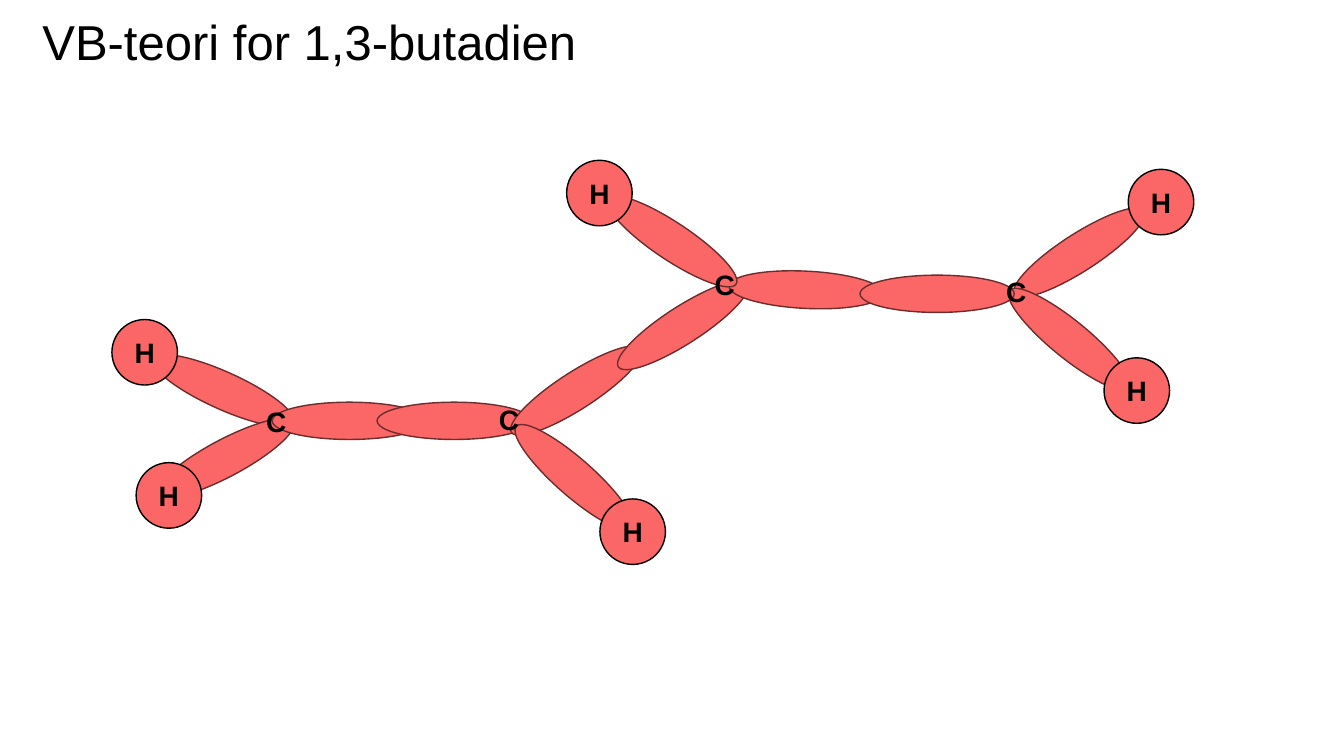
from pptx import Presentation
from pptx.dml.color import RGBColor
from pptx.enum.shapes import MSO_SHAPE as Shape
from pptx.enum.text import MSO_ANCHOR as Anchor, PP_ALIGN as Align
from pptx.util import Pt

# Content: lengths in px, 100 px to the inch
TITLE = "VB-teori for 1,3-butadien"
LOBES = [  # left, top, turn in degrees, from back to front
    (145, 369, 24.3), (147, 436, 332), (270, 399, 0), (374, 399, 0),
    (495, 369, 327.2), (493, 455, 41.3), (601, 304, 327.2), (723, 269, 2.8),
    (590, 221, 33.7), (994, 232, 327.2), (984, 318, 39.2), (853, 273, 0),
]
CARBONS = [(254, 396), (485, 394), (699, 260), (988, 267)]
HYDROGENS = [(135, 459), (111, 317), (595, 495),
             (562, 159), (1095, 355), (1119, 168)]

PX = 9144
LOBE, LABEL, ATOM = (153, 37), (58, 44), (65, 65)
RED = RGBColor(0xFB, 0x66, 0x66)
BROWN = RGBColor(0x6E, 0x2D, 0x2D)
BLACK = RGBColor(0, 0, 0)
HEAD = {"name": "Arial", "size": Pt(35), "bold": False}
BOLD = {"name": "Arial", "size": Pt(20), "bold": True}


def scale(*nums):
    return [n * PX for n in nums]


def write(frame, text, look, align, anchor):
    frame.vertical_anchor = anchor
    para = frame.paragraphs[0]
    para.alignment = align
    run = para.add_run()
    run.text = text
    for key, val in look.items():
        setattr(run.font, key, val)
    run.font.color.rgb = BLACK
    return para


def oval(left, top, size, edge):
    shape = slide.shapes.add_shape(Shape.OVAL, *scale(left, top, *size))
    shape.shadow.inherit = False
    shape.fill.solid()
    shape.fill.fore_color.rgb = RED
    shape.line.color.rgb = edge
    shape.line.width = Pt(1)
    return shape


deck = Presentation()
deck.slide_width, deck.slide_height = scale(1333, 750)
slide = deck.slides.add_slide(deck.slide_layouts[5])

# Title
title = slide.shapes.title
title.left, title.top, title.width, title.height = scale(42, 18, 1250, 82)
frame = title.text_frame
for side in ("left", "top", "right", "bottom"):
    setattr(frame, "margin_" + side, 0)
write(frame, TITLE, HEAD, Align.LEFT, Anchor.TOP).line_spacing = 0.9

# Orbital lobes
for left, top, turn in LOBES:
    oval(left, top, LOBE, BROWN).rotation = turn

# Carbon labels
for left, top in CARBONS:
    box = slide.shapes.add_textbox(*scale(left, top, *LABEL))
    box.text_frame.word_wrap = True
    write(box.text_frame, "C", BOLD, Align.LEFT, Anchor.TOP)

# Hydrogen atoms
for left, top in HYDROGENS:
    atom = oval(left, top, ATOM, BLACK)
    write(atom.text_frame, "H", BOLD, Align.CENTER, Anchor.MIDDLE)

deck.save("out.pptx")
